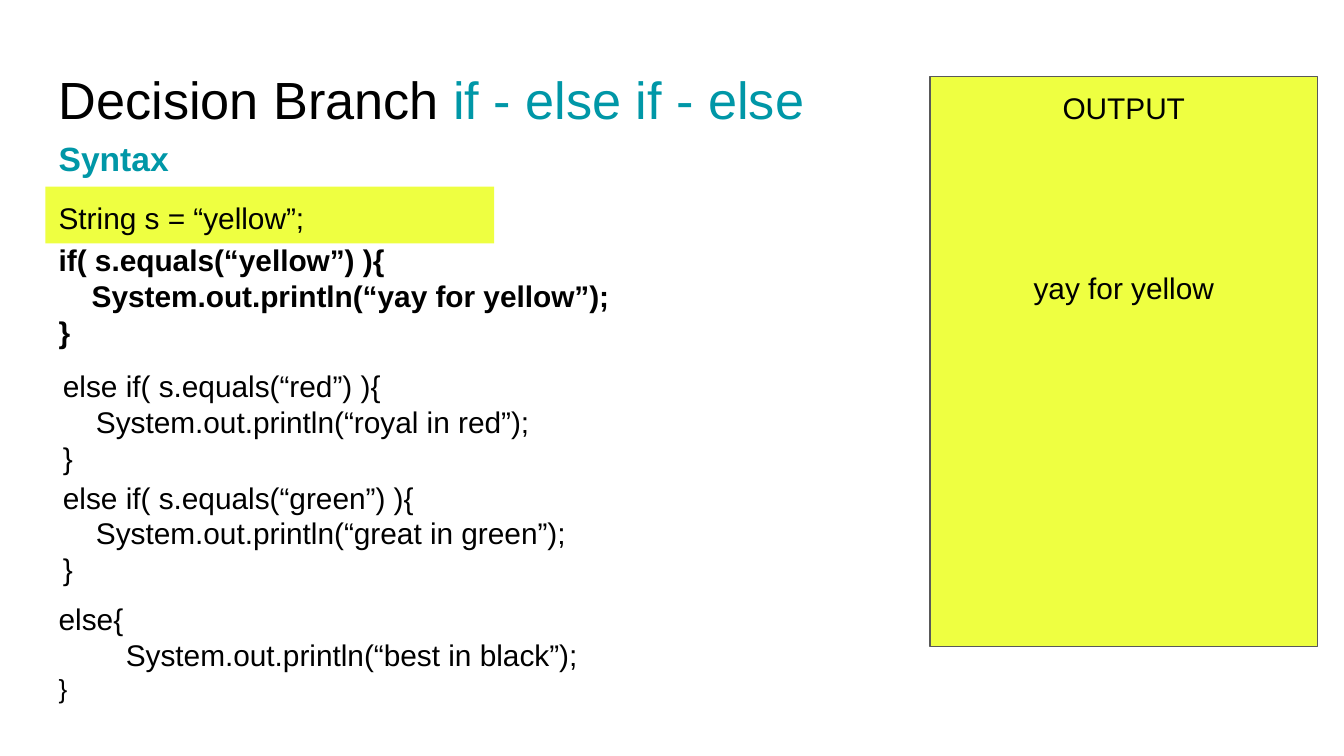
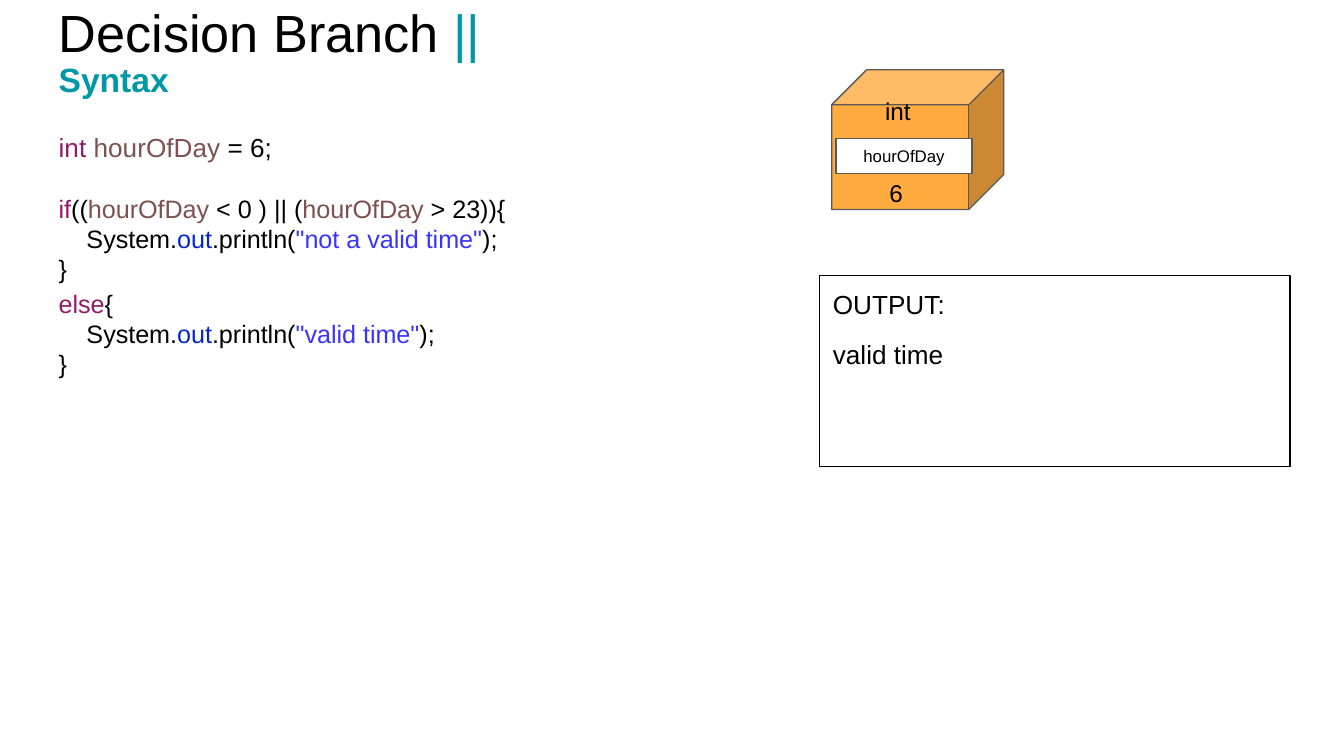
"""Builds two slides on Java decision branches: else-if chains and the or operator."""
from pptx import Presentation, util as u
from pptx.dml.color import RGBColor
from pptx.enum import shapes, text

C = {
    "black": "000000", "white": "FFFFFF", "teal": "0097A7", "yellow": "EEFF41",
    "orange": "FFAB40", "grey": "595959", "keyword": "931A68",
    "variable": "7E504F", "field": "0326CC", "string": "3933FF",
}
RECT, CUBE = shapes.MSO_SHAPE.RECTANGLE, shapes.MSO_SHAPE.CUBE
CENTER = text.PP_ALIGN.CENTER
LEFT = 0.86


def box(s, x, y, w, h, kind=None, fill=None, line=None, anchor=text.MSO_ANCHOR.TOP):
    """Adds a text box, or a preset shape of the given kind, and returns its text frame."""
    at = [u.Cm(v) for v in (x, y, w, h)]
    if kind is None:
        sp = s.shapes.add_textbox(*at)
    else:
        sp = s.shapes.add_shape(kind, *at)
        sp.shadow.inherit = False
        for part, color in ((sp.fill, fill), (sp.line.fill, line)):
            if color:
                part.solid()
                part.fore_color.rgb = RGBColor.from_string(C[color])
            else:
                part.background()
        if line:
            sp.line.width = u.Pt(0.75)
    tf = sp.text_frame
    tf.word_wrap = True
    tf.vertical_anchor = anchor
    tf.margin_left = tf.margin_right = tf.margin_top = tf.margin_bottom = u.Cm(0.25)
    return tf


def write(tf, runs, size=16, bold=False, align=text.PP_ALIGN.LEFT, before=0, spacing=1.0, indent=0):
    """Adds a paragraph from a string or from (text, colour) pairs."""
    p = tf.add_paragraph() if tf.text else tf.paragraphs[0]
    p.alignment, p.space_before, p.line_spacing = align, u.Pt(before), spacing
    if indent:
        pPr = p._p.get_or_add_pPr()
        pPr.set("marL", "0")
        pPr.set("indent", str(u.Cm(indent)))
    for words, color in [(runs, "black")] if isinstance(runs, str) else runs:
        r = p.add_run()
        r.text = words
        r.font.name, r.font.size, r.font.bold = "Arial", u.Pt(size), bold
        r.font.color.rgb = RGBColor.from_string(C[color])


prs = Presentation()
prs.slide_width, prs.slide_height = u.Cm(25.4), u.Cm(14.29)

slides = []
for topic, title_y, syntax_y, syntax_h in (
    ("if - else if - else", 1.02, 2.36, 1.6),
    ("||", -0.25, 0.86, 0.66),
):
    s = prs.slides.add_slide(prs.slide_layouts[6])
    write(box(s, LEFT, title_y, 23.67, 1.6), [("Decision Branch ", "black"), (topic, "teal")], size=28)
    write(box(s, LEFT, syntax_y, 13.74, syntax_h), [("Syntax", "teal")], size=18, bold=True)
    slides.append(s)
chain, either = slides

for x, y, head, message, bold in (
    (LEFT, 4.32, "if( s.equals(“yellow”) ){", "yay for yellow", True),
    (0.94, 6.71, "else if( s.equals(“red”) ){", "royal in red", False),
    (0.94, 8.81, "else if( s.equals(“green”) ){", "great in green", False),
):
    tf = box(chain, x, y, 11, 2.49)
    for code in (head, f"    System.out.println(“{message}”);", "}"):
        write(tf, code, bold=bold)

tf = box(chain, LEFT, 11.1, 11, 2.31)
write(tf, "else{")
write(tf, "System.out.println(“best in black”);", indent=1.27)
write(tf, "}", size=14)

tf = box(chain, 17.58, 1.45, 7.32, 10.77, RECT, "yellow", "grey")
write(tf, "OUTPUT", align=CENTER)
write(tf, "yay for yellow", align=CENTER, before=77)

write(box(chain, LEFT, 3.53, 8.48, 1.07, RECT, "yellow"), "String s = “yellow”;")

hour = ("hourOfDay", "variable")
tf = box(either, LEFT, 2.24, 13.74, 11.63)
write(tf, [("int ", "keyword"), hour, (" = 6;", "black")], size=14)
for head, message, before, spacing in (
    ([("if", "keyword"), ("((", "black"), hour, (" < 0 ) || (", "black"), hour, (" > 23)){", "black")],
     '"not a valid time"', 16, 1.0),
    ([("else", "keyword"), ("{", "black")], '"valid time"', 0, 1.15),
):
    write(tf, head, size=13.5, before=before, spacing=spacing)
    write(tf, [("    System.", "black"), ("out", "field"), (".println(", "black"),
               (message, "string"), (");", "black")], size=13.5)
    write(tf, "}", size=13.5)

tf = box(either, 15.49, 5.21, 8.89, 3.61, RECT, line="black")
write(tf, "OUTPUT:", size=14)
write(tf, "valid time", size=14, before=10)

box(either, 15.72, 1.32, 3.25, 2.64, CUBE, "orange", "grey")
tf = box(either, 15.8, 2.62, 2.57, 0.66, RECT, "white", "grey", text.MSO_ANCHOR.MIDDLE)
write(tf, "hourOfDay", size=9, align=CENTER)
for label, x, y, w, h in (("int", 15.93, 1.57, 2.08, 0.91), ("6", 16.26, 3.12, 1.35, 0.66)):
    write(box(either, x, y, w, h), label, size=13, align=CENTER)

prs.save("out.pptx")
